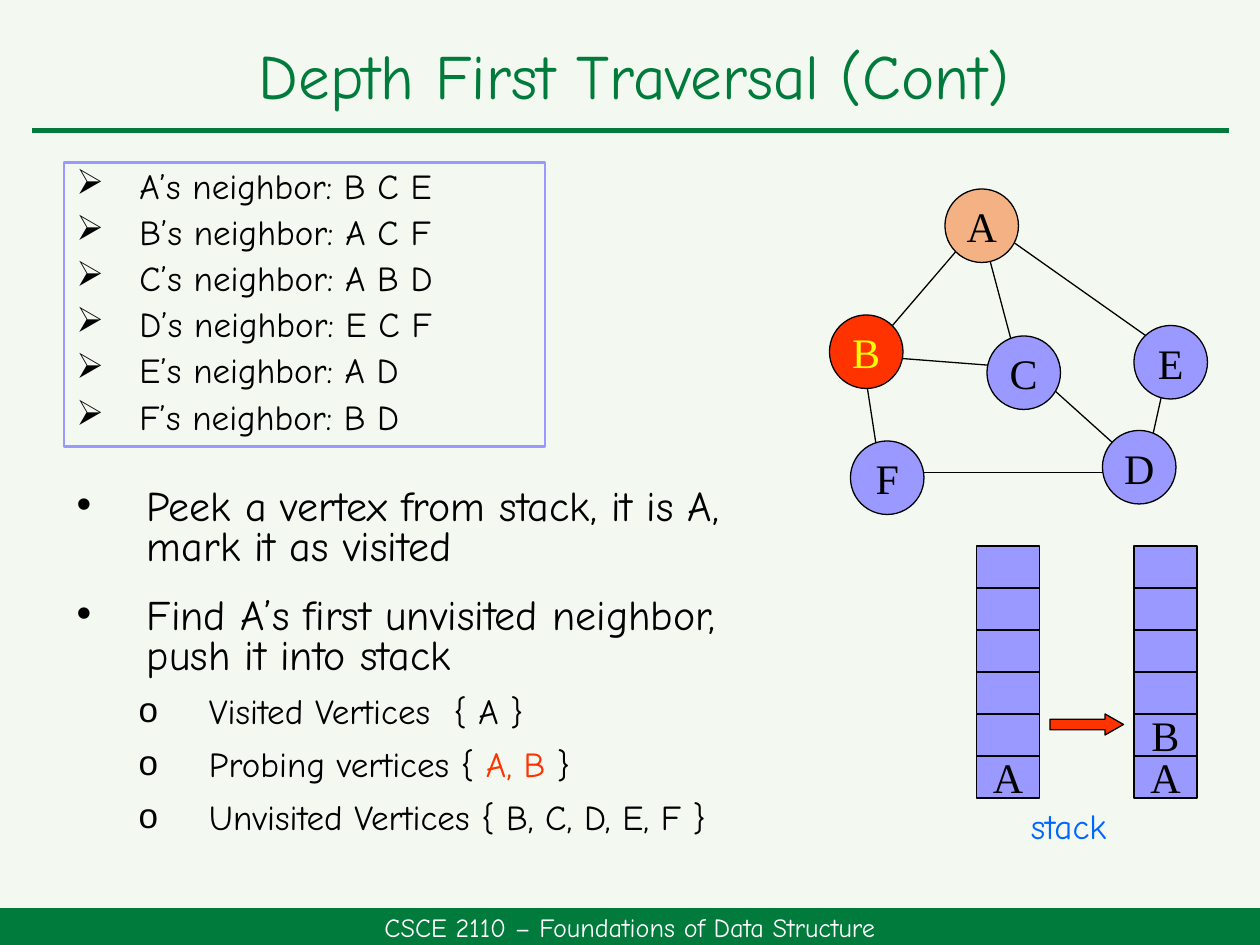
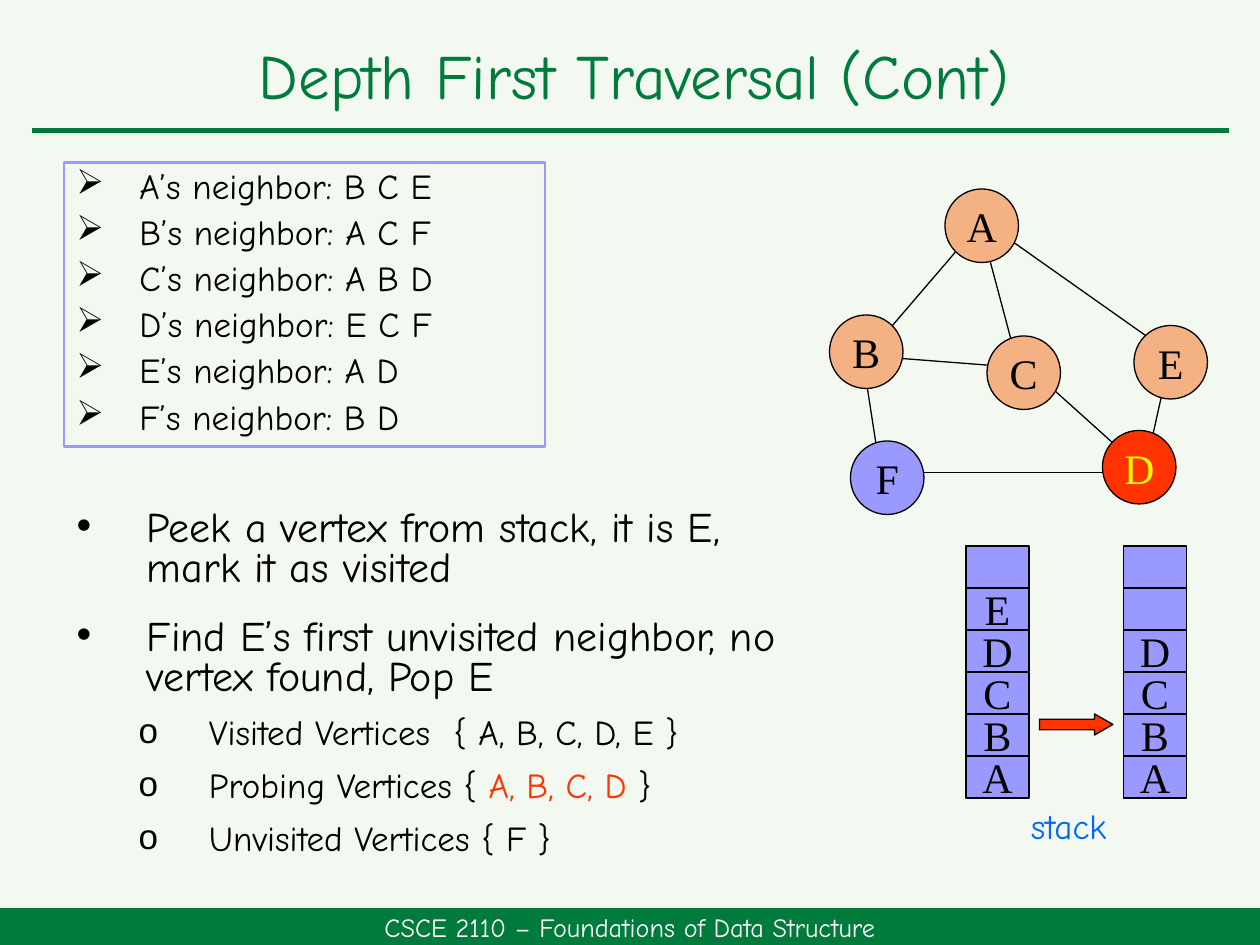
from lxml.etree import SubElement
from pptx import Presentation
from pptx.dml.color import RGBColor
from pptx.enum.shapes import MSO_CONNECTOR as CONNECTOR, MSO_SHAPE as SHAPE
from pptx.enum.text import MSO_ANCHOR as ANCHOR, MSO_AUTO_SIZE as AUTOSIZE, PP_ALIGN as ALIGN
from pptx.oxml.ns import qn
from pptx.util import Pt

PX = 7620
SANS, SERIF = "Comic Neue", "Times New Roman"
COLORS = {
    "page": "F3F9F0", "green": "007B3B", "white": "FFFFFF", "black": "000000",
    "plain": "9999FF", "visited": "F4B183", "probing": "FF3300",
    "highlight": "FFFF00", "label": "0066FF",
}
TITLE = "Depth First Traversal (Cont)"
COURSE = "CSCE 2110 – Foundations of Data Structure"
NEIGHBORS = {"A": "B C E", "B": "A C F", "C": "A B D", "D": "E C F", "E": "A D", "F": "B D"}
VERTICES = {"A": (110, 0), "B": (0, 120), "C": (150, 140),
            "E": (290, 130), "F": (20, 240), "D": (260, 230)}
EDGES = [
    (50, 160, 180, 170), (120, 60, 60, 130), (140, 20, 180, 170), (160, 40, 330, 160),
    (30, 150, 50, 280), (320, 180, 300, 270), (190, 170, 290, 260), (70, 270, 280, 270),
]
VERTEX_SIZE, CELL_WIDTH, CELL_HEIGHT, STACK_DEPTH = 70, 60, 40, 6
STEPS = [
    {
        "body_box": (61, 460, 689, 348),
        "actions": ["Peek a vertex from stack, it is A, mark it as visited",
                    "Find A’s first unvisited neighbor, push it into stack"],
        "sets": ["Visited Vertices  { A }", "Probing vertices { |A, B| }",
                 "Unvisited Vertices { B, C, D, E, F }"],
        "visited": "A", "current": "B",
        "stack_left": 930, "before": "A", "after": "AB",
    },
    {
        "body_box": (61, 480, 708, 355),
        "actions": ["Peek a vertex from stack, it is E, mark it as visited",
                    "Find E’s first unvisited neighbor, no vertex found, Pop E"],
        "sets": ["Visited Vertices  { A, B, C, D, E }", "Probing Vertices { |A, B, C, D| }",
                 "Unvisited Vertices { F }"],
        "visited": "ABCE", "current": "D",
        "stack_left": 920, "before": "ABCDE", "after": "ABCD",
    },
]


def rgb(key):
    """Return the named palette colour."""
    return RGBColor.from_string(COLORS[key])


def emu(*lengths):
    """Turn px lengths into EMU."""
    return [length * PX for length in lengths]


def style(run, size, color, font=SANS):
    """Format one run."""
    run.font.size = Pt(size)
    run.font.name = font
    run.font.color.rgb = rgb(color)


def write(frame, text, size, color, font=SANS, align=ALIGN.CENTER):
    """Set a one-line text and its format."""
    frame.text = text
    line = frame.paragraphs[0]
    line.alignment = align
    style(line.runs[0], size, color, font)


def draw_shape(slide, kind, box, fill=None, border=None, width=0.75):
    """Add a flat preset shape."""
    shape = slide.shapes.add_shape(kind, *emu(*box))
    shape.shadow.inherit = False
    if fill:
        shape.fill.solid()
        shape.fill.fore_color.rgb = rgb(fill)
    else:
        shape.fill.background()
    if border:
        shape.line.color.rgb = rgb(border)
        shape.line.width = Pt(width)
    else:
        shape.line.fill.background()
    return shape


def draw_line(slide, ends, color, width):
    """Add a straight line without a shadow."""
    line = slide.shapes.add_connector(CONNECTOR.STRAIGHT, *emu(*ends))
    line.line.color.rgb = rgb(color)
    line.line.width = Pt(width)
    SubElement(line._element.spPr, qn("a:effectLst"))


def draw_lettered(slide, kind, box, fill, letter, color="black"):
    """Add an outlined shape holding a serif letter, if any."""
    frame = draw_shape(slide, kind, box, fill, "black").text_frame
    if letter:
        frame.word_wrap = False
        frame.vertical_anchor = ANCHOR.MIDDLE
        write(frame, letter, 24, color, SERIF)


def write_bullet(frame, index, text, bullet, left, hang, size, spacing, before, after=0, level=0):
    """Add a bulleted line whose part between bars is highlighted."""
    line = frame.add_paragraph() if index else frame.paragraphs[0]
    line.level = level
    props = line._p.get_or_add_pPr()
    props.set("marL", str(left * PX))
    props.set("indent", str(-hang * PX))
    SubElement(props, qn("a:buChar"), char=bullet)
    line.alignment = ALIGN.LEFT
    line.line_spacing = spacing
    line.space_before = Pt(before if index else 0)
    line.space_after = Pt(after)
    for part, piece in enumerate(text.split("|")):
        run = line.add_run()
        run.text = piece
        style(run, size, "probing" if part % 2 else "black")


def move(holder, box):
    """Place a placeholder in a px box."""
    holder.left, holder.top, holder.width, holder.height = emu(*box)
    holder.text_frame.auto_size = AUTOSIZE.NONE
    holder.text_frame.word_wrap = True


def add_frame(slide):
    """Add the title, rule and footer band."""
    move(slide.shapes.title, (36, 30, 1136, 90))
    frame = slide.shapes.title.text_frame
    frame.vertical_anchor = ANCHOR.MIDDLE
    write(frame, TITLE, 36, "green")
    frame.paragraphs[0].line_spacing = 0.9
    draw_line(slide, (30, 124, 1170, 124), "green", 3)
    footer = draw_shape(slide, SHAPE.RECTANGLE, (0, 865, 1200, 35), "green").text_frame
    footer.vertical_anchor = ANCHOR.MIDDLE
    write(footer, COURSE, 15, "white")


def add_neighbors(slide, box):
    """Add the framed adjacency list."""
    frame = draw_shape(slide, SHAPE.RECTANGLE, box, border="plain", width=1.5).text_frame
    frame.word_wrap = True
    frame.vertical_anchor = ANCHOR.TOP
    for index, (vertex, others) in enumerate(NEIGHBORS.items()):
        write_bullet(frame, index, f"{vertex}’s neighbor: {others}", "➢", 60, 60, 20, 0.9, 4.8)


def add_explanation(slide, box, actions, sets):
    """Fill the body placeholder with the actions and vertex sets."""
    body = slide.placeholders[1]
    move(body, box)
    for index, action in enumerate(actions):
        write_bullet(body.text_frame, index, action, "•", 67, 67, 24, 0.8, 10, 6)
    for index, vertex_set in enumerate(sets, len(actions)):
        write_bullet(body.text_frame, index, vertex_set, "o", 126, 67, 20, 0.8, 5, 6, 1)


def add_graph(slide, left, top, visited, current):
    """Draw the graph with its visited and current vertices."""
    for x1, y1, x2, y2 in EDGES:
        draw_line(slide, (left + x1, top + y1, left + x2, top + y2), "black", 0.75)
    for vertex, (x, y) in VERTICES.items():
        fill = "probing" if vertex == current else "visited" if vertex in visited else "plain"
        draw_lettered(slide, SHAPE.OVAL, (left + x, top + y, VERTEX_SIZE, VERTEX_SIZE), fill,
                      vertex, "highlight" if vertex == current else "black")


def add_stack(slide, left, top, content):
    """Draw one stack, filled from the bottom."""
    for row, letter in enumerate(reversed(content.ljust(STACK_DEPTH))):
        cell = (left, top + row * CELL_HEIGHT, CELL_WIDTH, CELL_HEIGHT)
        draw_lettered(slide, SHAPE.RECTANGLE, cell, "plain", letter.strip())


def add_stack_change(slide, left, top, before, after):
    """Draw the stack before and after the step, with arrow and label."""
    add_stack(slide, left, top, before)
    add_stack(slide, left + 150, top, after)
    arrow = draw_shape(slide, SHAPE.RIGHT_ARROW, (left + 70, top + 160, 70, 20),
                       "probing", "black")
    arrow.adjustments[0], arrow.adjustments[1] = 0.5, 0.875
    label = slide.shapes.add_textbox(*emu(970, top + 240, 110, 53)).text_frame
    label.word_wrap = True
    write(label, "stack", 20, "label", align=ALIGN.LEFT)


def add_step(deck, step):
    """Add one traversal step slide."""
    slide = deck.slides.add_slide(deck.slide_layouts[1])
    add_frame(slide)
    add_neighbors(slide, (61, 155, 458, 270))
    add_explanation(slide, step["body_box"], step["actions"], step["sets"])
    add_graph(slide, 790, 180, step["visited"], step["current"])
    add_stack_change(slide, step["stack_left"], 520, step["before"], step["after"])


def main():
    """Build and save the deck."""
    deck = Presentation()
    deck.slide_width, deck.slide_height = emu(1200, 900)
    backdrop = deck.slide_master.background.fill
    backdrop.solid()
    backdrop.fore_color.rgb = rgb("page")
    for step in STEPS:
        add_step(deck, step)
    deck.save("out.pptx")


if __name__ == "__main__":
    main()
